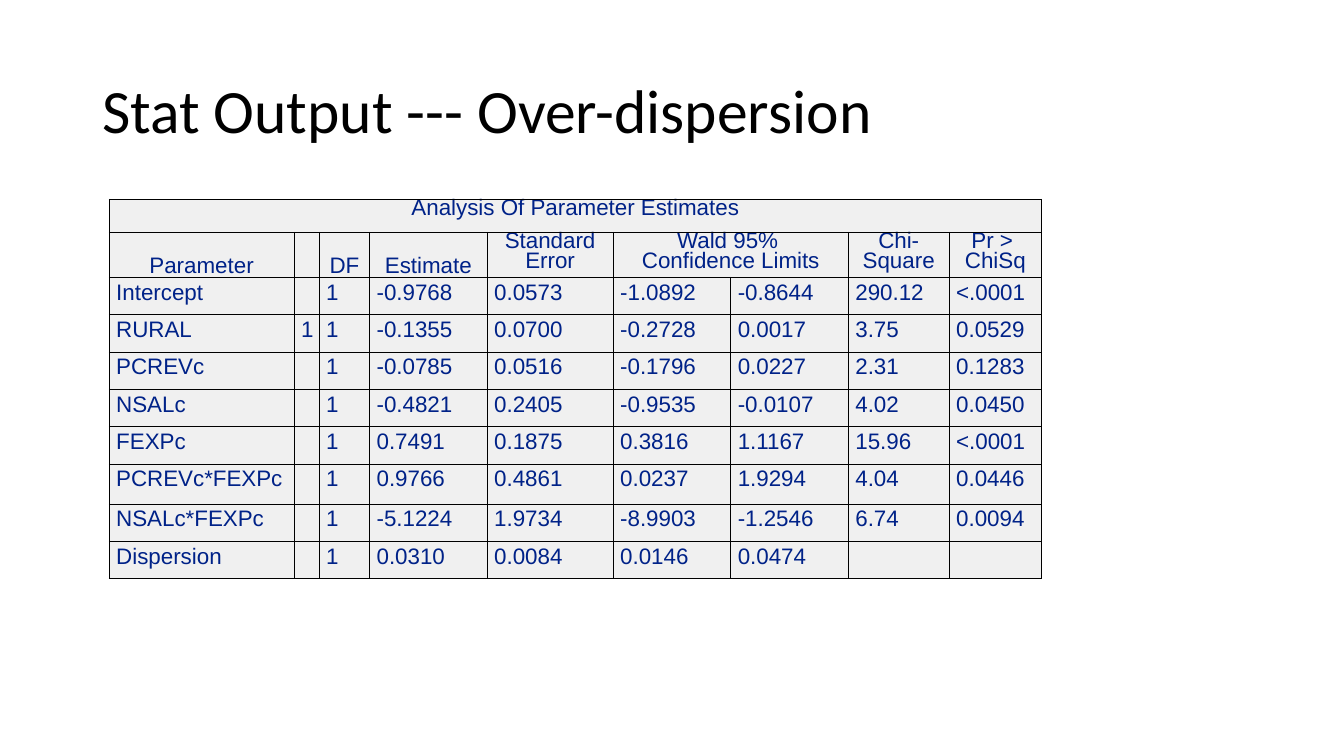
"""Builds the slide with the table of over-dispersion parameter estimates."""
from dataclasses import dataclass

import lxml.etree
import pptx
import pptx.dml.color
import pptx.enum.text
import pptx.oxml.ns
import pptx.presentation
import pptx.slide
import pptx.table
import pptx.text.text
import pptx.util

Pt = pptx.util.Pt
Align = pptx.enum.text.PP_ALIGN
Anchor = pptx.enum.text.MSO_ANCHOR


@dataclass(frozen=True)
class TextStyle:
    font: str
    size: float
    color: str
    spacing: float


@dataclass(frozen=True)
class Theme:
    title: TextStyle = TextStyle("Calibri", 44, "000000", 0.9)
    table: TextStyle = TextStyle("Arial", 16, "002288", 0.8)
    cell_fill: str = "F0F0F0"
    border: str = "000000"
    border_width: float = 0.75


@dataclass(frozen=True)
class CellLayout:
    side: float
    end: float
    align: Align
    anchor: Anchor = Anchor.TOP


@dataclass(frozen=True)
class Heading:
    column: int
    lines: tuple[str, ...]
    anchor: Anchor = Anchor.TOP


@dataclass(frozen=True)
class Estimate:
    parameter: str
    level: str
    values: tuple[str, ...]


THEME = Theme()
BODY = CellLayout(5.04, 5.04, Align.LEFT)
EMPTY = CellLayout(5.04, 0, Align.LEFT)
CAPTION = CellLayout(3.6, 0, Align.CENTER)
COLUMN_WIDTHS = (132, 18, 36, 84, 90, 84, 84, 72, 66)
TOP_HEIGHTS = (23.7, 32.1)
ROW_HEIGHT = 26.7
TALL_ROW_HEIGHT = 28.6
TALL_PARAMETER = "PCREVc*FEXPc"
HEADINGS = (
    Heading(0, ("Parameter",), Anchor.BOTTOM),
    Heading(2, ("DF",), Anchor.BOTTOM),
    Heading(3, ("Estimate",), Anchor.BOTTOM),
    Heading(4, ("Standard Error",)),
    Heading(5, ("Wald 95% ", "Confidence Limits")),
    Heading(7, ("Chi-Square",)),
    Heading(8, ("Pr > ", "ChiSq")),
)
ESTIMATES = (
    Estimate("Intercept", "", ("1", "-0.9768", "0.0573", "-1.0892", "-0.8644", "290.12", "<.0001")),
    Estimate("RURAL", "1", ("1", "-0.1355", "0.0700", "-0.2728", "0.0017", "3.75", "0.0529")),
    Estimate("PCREVc", "", ("1", "-0.0785", "0.0516", "-0.1796", "0.0227", "2.31", "0.1283")),
    Estimate("NSALc", "", ("1", "-0.4821", "0.2405", "-0.9535", "-0.0107", "4.02", "0.0450")),
    Estimate("FEXPc", "", ("1", "0.7491", "0.1875", "0.3816", "1.1167", "15.96", "<.0001")),
    Estimate("PCREVc*FEXPc", "", ("1", "0.9766", "0.4861", "0.0237", "1.9294", "4.04", "0.0446")),
    Estimate("NSALc*FEXPc", "", ("1", "-5.1224", "1.9734", "-8.9903", "-1.2546", "6.74", "0.0094")),
    Estimate("Dispersion", "", ("1", "0.0310", "0.0084", "0.0146", "0.0474", "", "")),
)


def write_lines(frame: pptx.text.text.TextFrame, lines: tuple[str, ...],
                style: TextStyle, align: Align) -> None:
    for index, line in enumerate(lines):
        para = frame.add_paragraph() if index else frame.paragraphs[0]
        para.alignment = align
        para.line_spacing = style.spacing
        span = para.add_run()
        span.text = line
        span.font.name = style.font
        span.font.size = Pt(style.size)
        span.font.color.rgb = pptx.dml.color.RGBColor.from_string(style.color)


def style_cell(cell: pptx.table._Cell) -> None:
    qn = pptx.oxml.ns.qn
    properties = cell._tc.get_or_add_tcPr()
    for side in ("a:lnL", "a:lnR", "a:lnT", "a:lnB"):
        line = lxml.etree.SubElement(properties, qn(side), w=str(int(Pt(THEME.border_width))))
        fill = lxml.etree.SubElement(line, qn("a:solidFill"))
        lxml.etree.SubElement(fill, qn("a:srgbClr"), val=THEME.border)
    cell.fill.solid()
    cell.fill.fore_color.rgb = pptx.dml.color.RGBColor.from_string(THEME.cell_fill)


def fill_cell(cell: pptx.table._Cell, lines: tuple[str, ...], layout: CellLayout) -> None:
    cell.margin_left = cell.margin_right = Pt(layout.side)
    cell.margin_top = cell.margin_bottom = Pt(layout.end)
    cell.vertical_anchor = layout.anchor
    write_lines(cell.text_frame, lines, THEME.table, layout.align)


def add_title(page: pptx.slide.Slide, text: str) -> None:
    box = page.shapes.add_textbox(Pt(66), Pt(28.8), Pt(828), Pt(104.4))
    frame = box.text_frame
    frame.word_wrap = True
    frame.vertical_anchor = Anchor.MIDDLE
    write_lines(frame, (text,), THEME.title, Align.LEFT)


def add_estimates(page: pptx.slide.Slide) -> None:
    heights = TOP_HEIGHTS + tuple(
        TALL_ROW_HEIGHT if row.parameter == TALL_PARAMETER else ROW_HEIGHT
        for row in ESTIMATES)
    holder = page.shapes.add_table(
        len(heights), len(COLUMN_WIDTHS), Pt(78), Pt(142.3),
        Pt(sum(COLUMN_WIDTHS)), Pt(sum(heights)))
    table = holder.table
    table.first_row = table.horz_banding = False
    for column, width in zip(table.columns, COLUMN_WIDTHS):
        column.width = Pt(width)
    for row, height in zip(table.rows, heights):
        row.height = Pt(height)
    for cell in table.iter_cells():
        style_cell(cell)
        fill_cell(cell, (), EMPTY)

    table.cell(0, 0).merge(table.cell(0, len(COLUMN_WIDTHS) - 1))
    table.cell(1, 5).merge(table.cell(1, 6))
    fill_cell(table.cell(0, 0), ("Analysis Of Parameter Estimates",), CAPTION)
    for heading in HEADINGS:
        layout = CellLayout(CAPTION.side, CAPTION.end, CAPTION.align, heading.anchor)
        fill_cell(table.cell(1, heading.column), heading.lines, layout)
    for row_index, estimate in enumerate(ESTIMATES, len(TOP_HEIGHTS)):
        texts = (estimate.parameter, estimate.level, *estimate.values)
        for column_index, text in enumerate(texts):
            if text:
                fill_cell(table.cell(row_index, column_index), (text,), BODY)


def main() -> None:
    deck = pptx.Presentation()
    deck.slide_width, deck.slide_height = Pt(960), Pt(540)
    page = deck.slides.add_slide(deck.slide_layouts[6])
    add_title(page, "Stat Output --- Over-dispersion")
    add_estimates(page)
    deck.save("out.pptx")


if __name__ == "__main__":
    main()
